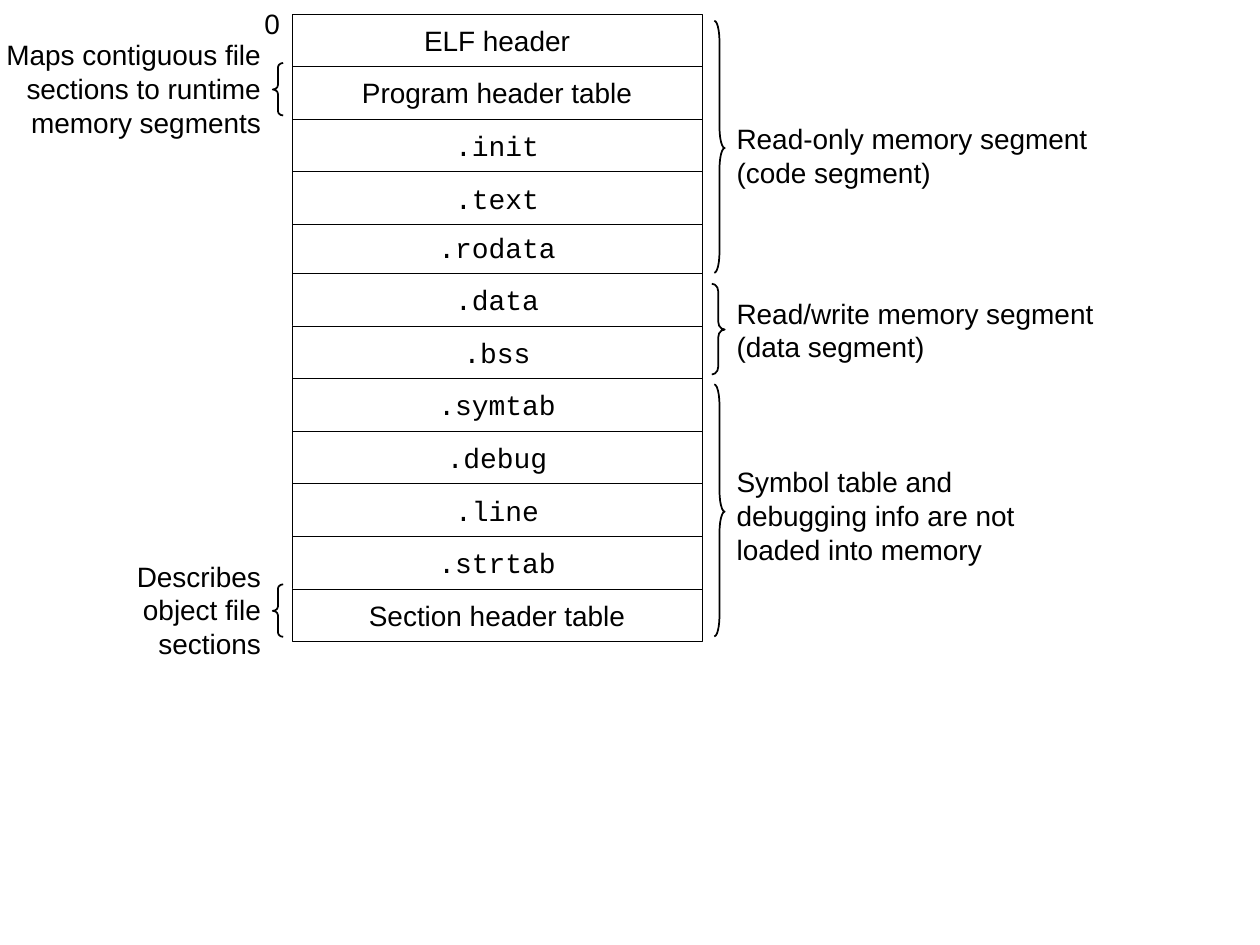
"""Build a slide showing the layout of an ELF executable object file."""
from dataclasses import dataclass

from pptx import Presentation
from pptx import util as u
from pptx.dml.color import RGBColor
from pptx.enum import shapes, text

COLORS = {"ink": "000000", "paper": "FFFFFF"}
SANS, MONO = "Arial", "Courier New"
SECTION_LEFT, SECTION_WIDTH, SECTION_HEIGHT = 5.89, 8.26, 1.06


@dataclass(frozen=True)
class SectionGroup:
    top: float
    names: tuple[str, ...]


@dataclass(frozen=True)
class Brace:
    left: float
    top: float
    width: float
    height: float
    curl: float
    faces_left: bool = False


@dataclass(frozen=True)
class Note:
    left: float
    top: float
    width: float
    height: float
    lines: tuple[str, ...]
    align: text.PP_ALIGN = text.PP_ALIGN.LEFT
    wrap: bool = True


GROUPS = (
    SectionGroup(4.45, (".rodata", ".data", ".bss", ".symtab", ".debug",
                        ".line", ".strtab", "Section header table")),
    SectionGroup(0.28, ("ELF header", "Program header table", ".init", ".text")),
)

BRACES = (
    Brace(14.4, 0.42, 0.21, 5.08, 2),
    Brace(14.35, 5.72, 0.26, 1.83, 0.6),
    Brace(14.4, 7.75, 0.21, 5.08, 2),
    Brace(5.5, 1.27, 0.21, 1.06, 0.42, faces_left=True),
    Brace(5.5, 11.78, 0.21, 1.06, 0.42, faces_left=True),
)

NOTES = (
    Note(5.08, 0, 0.81, 0.93, ("0",), wrap=False),
    Note(-0.64, 0.64, 6.15, 2.29,
         ("Maps contiguous file sections to runtime memory segments",),
         text.PP_ALIGN.RIGHT),
    Note(2.12, 11.15, 3.39, 2.29, ("Describes object file sections",),
         text.PP_ALIGN.RIGHT),
    Note(14.6, 2.33, 7.83, 1.62, ("Read-only memory segment", "(code segment)")),
    Note(14.6, 5.85, 7.83, 1.62, ("Read/write memory segment", "(data segment)")),
    Note(14.6, 9.25, 6.15, 2.29,
         ("Symbol table and debugging info are not", "loaded into memory")),
)


def color(name: str) -> RGBColor:
    """Return the named colour."""
    return RGBColor.from_string(COLORS[name])


def write(frame, lines: tuple[str, ...], align: text.PP_ALIGN, font: str) -> None:
    """Write each line as a paragraph with one run."""
    for index, line in enumerate(lines):
        paragraph = frame.add_paragraph() if index else frame.paragraphs[0]
        paragraph.alignment = align
        run = paragraph.add_run()
        run.text = line
        run.font.name = font
        run.font.size = u.Pt(16)
        run.font.color.rgb = color("ink")


def draw_group(slide, group: SectionGroup) -> None:
    """Stack the sections of a group at an equal pitch."""
    for row, name in enumerate(group.names):
        section = slide.shapes.add_shape(
            shapes.MSO_SHAPE.RECTANGLE, u.Cm(SECTION_LEFT),
            u.Cm(group.top + row * SECTION_HEIGHT),
            u.Cm(SECTION_WIDTH), u.Cm(SECTION_HEIGHT))
        section.shadow.inherit = False
        section.fill.solid()
        section.fill.fore_color.rgb = color("paper")
        section.line.color.rgb = color("ink")
        section.line.width = u.Pt(0.25)
        frame = section.text_frame
        frame.word_wrap = False
        frame.vertical_anchor = text.MSO_ANCHOR.MIDDLE
        font = MONO if name.startswith(".") else SANS
        write(frame, (name,), text.PP_ALIGN.CENTER, font)


def draw_brace(slide, brace: Brace) -> None:
    """Draw a brace, mirrored when it faces left."""
    bracket = slide.shapes.add_shape(
        shapes.MSO_SHAPE.RIGHT_BRACE, u.Cm(brace.left), u.Cm(brace.top),
        u.Cm(brace.width), u.Cm(brace.height))
    bracket.shadow.inherit = False
    bracket.adjustments[0] = brace.curl
    bracket.adjustments[1] = 0.505
    bracket.fill.background()
    bracket.line.color.rgb = color("ink")
    bracket.line.width = u.Pt(1)
    if brace.faces_left:
        bracket.element.spPr.xfrm.set("flipH", "1")


def draw_note(slide, note: Note) -> None:
    """Place a note beside the sections."""
    frame = slide.shapes.add_textbox(
        u.Cm(note.left), u.Cm(note.top),
        u.Cm(note.width), u.Cm(note.height)).text_frame
    frame.word_wrap = note.wrap
    frame.auto_size = text.MSO_AUTO_SIZE.SHAPE_TO_FIT_TEXT
    write(frame, note.lines, note.align, SANS)


def main() -> None:
    """Build and save the slide."""
    deck = Presentation()
    deck.slide_width, deck.slide_height = u.Cm(25.4), u.Cm(19.05)
    slide = deck.slides.add_slide(deck.slide_layouts[6])
    for group in GROUPS:
        draw_group(slide, group)
    for brace in BRACES:
        draw_brace(slide, brace)
    for note in NOTES:
        draw_note(slide, note)
    deck.save("out.pptx")


if __name__ == "__main__":
    main()
